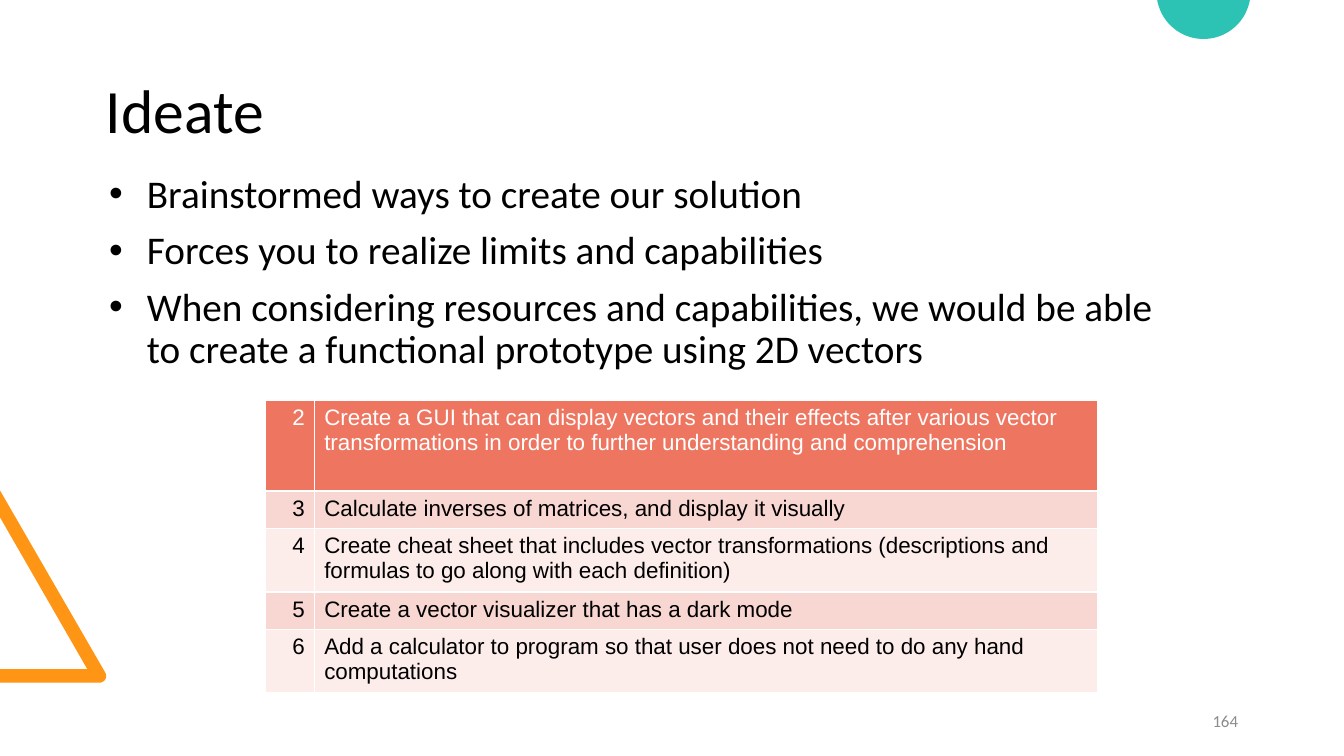
import math

import lxml.etree
import pptx
import pptx.dml.color
import pptx.enum.text
import pptx.oxml.ns
import pptx.util

BLACK = pptx.dml.color.RGBColor(0x00, 0x00, 0x00)
WHITE = pptx.dml.color.RGBColor(0xFF, 0xFF, 0xFF)
GREY = pptx.dml.color.RGBColor(0x8C, 0x8C, 0x8C)
ORANGE = pptx.dml.color.RGBColor(0xFF, 0x95, 0x14)
TEAL = pptx.dml.color.RGBColor(0x2C, 0xC3, 0xB4)
CORAL = pptx.dml.color.RGBColor(0xEE, 0x76, 0x61)
PINK = pptx.dml.color.RGBColor(0xF8, 0xD6, 0xD2)
PALE_PINK = pptx.dml.color.RGBColor(0xFC, 0xEC, 0xEA)

ALIGN = pptx.enum.text.PP_ALIGN
MIDDLE = pptx.enum.text.MSO_ANCHOR.MIDDLE
qn = pptx.oxml.ns.qn

# A 16:9 slide
presentation = pptx.Presentation()
presentation.slide_width = pptx.util.Inches(10)
presentation.slide_height = presentation.slide_width * 9 // 16
slide = presentation.slides.add_slide(presentation.slide_layouts[5])

# The grid has 100 square units across the slide
UNIT = presentation.slide_width // 100


def write_text(text_frame, lines, size, font="Calibri", color=BLACK, align=ALIGN.LEFT,
               line_spacing=1.0, space_before=0, indent=0):
    """Write one paragraph per line; an indent makes the lines bullets."""
    text_frame.word_wrap = True
    for index, line in enumerate(lines):
        paragraph = text_frame.paragraphs[0] if index == 0 else text_frame.add_paragraph()
        paragraph.text = line
        paragraph.alignment = align
        paragraph.line_spacing = line_spacing
        paragraph.space_before = pptx.util.Pt(space_before if index else 0)
        if indent:
            properties = paragraph._p.get_or_add_pPr()
            properties.set("marL", str(round(indent * UNIT)))
            properties.set("indent", str(round(-indent * UNIT)))
            lxml.etree.SubElement(properties, qn("a:buFont"), typeface="Arial")
            lxml.etree.SubElement(properties, qn("a:buChar"), char="•")
        paragraph.font.size = pptx.util.Pt(size)
        paragraph.font.name = font
        paragraph.font.color.rgb = color


def draw_outline(points, color):
    """Draw a closed, filled outline through points given in grid units."""
    corners = [(round(x * UNIT), round(y * UNIT)) for x, y in points]
    builder = slide.shapes.build_freeform(*corners[0])
    builder.add_line_segments(corners[1:], close=True)
    shape = builder.convert_to_shape()
    shape.shadow.inherit = False
    shape.fill.solid()
    shape.fill.fore_color.rgb = color
    shape.line.fill.background()


# Orange triangle band at the left edge, with a rounded corner
rounded_corner = [(7.4 + 0.5 * math.cos(math.radians(angle)),
                   50.3 + 0.5 * math.sin(math.radians(angle)))
                  for angle in range(-30, 91, 10)]
draw_outline([(0, 50.8), (0, 49.8), (6.5, 49.8), (0, 38.5), (0, 36.5)] + rounded_corner, ORANGE)

# Teal circle cut off by the top edge
draw_outline([(89.55 + 3.5 * math.cos(math.radians(angle)),
               -0.6 + 3.5 * math.sin(math.radians(angle)))
              for angle in range(10, 171, 4)], TEAL)

# Slide number
number_box = slide.shapes.add_textbox(*(round(n * UNIT) for n in (70.6, 52.15, 22.5, 3)))
number_box.text_frame.vertical_anchor = MIDDLE
write_text(number_box.text_frame, ["164"], 9, color=GREY, align=ALIGN.RIGHT)

# Title
title = slide.shapes.title
title.left, title.top, title.width, title.height = (
    round(n * UNIT) for n in (6.88, 3, 86.25, 10.9))
title.text_frame.auto_size = pptx.enum.text.MSO_AUTO_SIZE.NONE
title.text_frame.vertical_anchor = MIDDLE
write_text(title.text_frame, ["Ideate"], 33, line_spacing=0.9)

# Bullets
bullet_box = slide.shapes.add_textbox(*(round(n * UNIT) for n in (7.14, 12.5, 82, 35.7)))
write_text(bullet_box.text_frame, [
    "Brainstormed ways to create our solution",
    "Forces you to realize limits and capabilities",
    "When considering resources and capabilities, we would be able to create a functional "
    "prototype using 2D vectors",
], 21, line_spacing=0.9, space_before=7.5, indent=2.81)

# Table of ideas: number, idea, row height in grid units
ideas = [
    ("2", "Create a GUI that can display vectors and their effects after various vector "
          "transformations in order to further understanding and comprehension", 6.75),
    ("3", "Calculate inverses of matrices, and display it visually", 2.78),
    ("4", "Create cheat sheet that includes vector transformations (descriptions and "
          "formulas to go along with each definition)", 4.7),
    ("5", "Create a vector visualizer that has a dark mode", 2.78),
    ("6", "Add a calculator to program so that user does not need to do any hand "
          "computations", 4.7),
]
table = slide.shapes.add_table(
    len(ideas), 2, *(round(n * UNIT) for n in (19.7, 29.8, 62, 21.7))).table
table.first_row = False
table.horz_banding = False
for column, width in zip(table.columns, (3.7, 58.3)):
    column.width = round(width * UNIT)

for row_index, (number, idea, height) in enumerate(ideas):
    table.rows[row_index].height = round(height * UNIT)
    is_header = row_index == 0
    fill_color = CORAL if is_header else (PALE_PINK, PINK)[row_index % 2]
    for column_index, text in enumerate((number, idea)):
        cell = table.cell(row_index, column_index)
        cell.margin_left = cell.margin_right = round(0.73 * UNIT)
        cell.margin_top = cell.margin_bottom = round(0.36 * UNIT)
        # White borders come before the fill in the cell properties
        for side in ("a:lnL", "a:lnR", "a:lnT", "a:lnB"):
            border = lxml.etree.SubElement(
                cell._tc.get_or_add_tcPr(), qn(side), w=str(pptx.util.Pt(1)))
            border_fill = lxml.etree.SubElement(border, qn("a:solidFill"))
            lxml.etree.SubElement(border_fill, qn("a:srgbClr"), val=str(WHITE))
        cell.fill.solid()
        cell.fill.fore_color.rgb = fill_color
        write_text(cell.text_frame, [text], 12, font="Arial",
                   color=WHITE if is_header else BLACK,
                   align=ALIGN.LEFT if column_index else ALIGN.RIGHT)

presentation.save("out.pptx")
